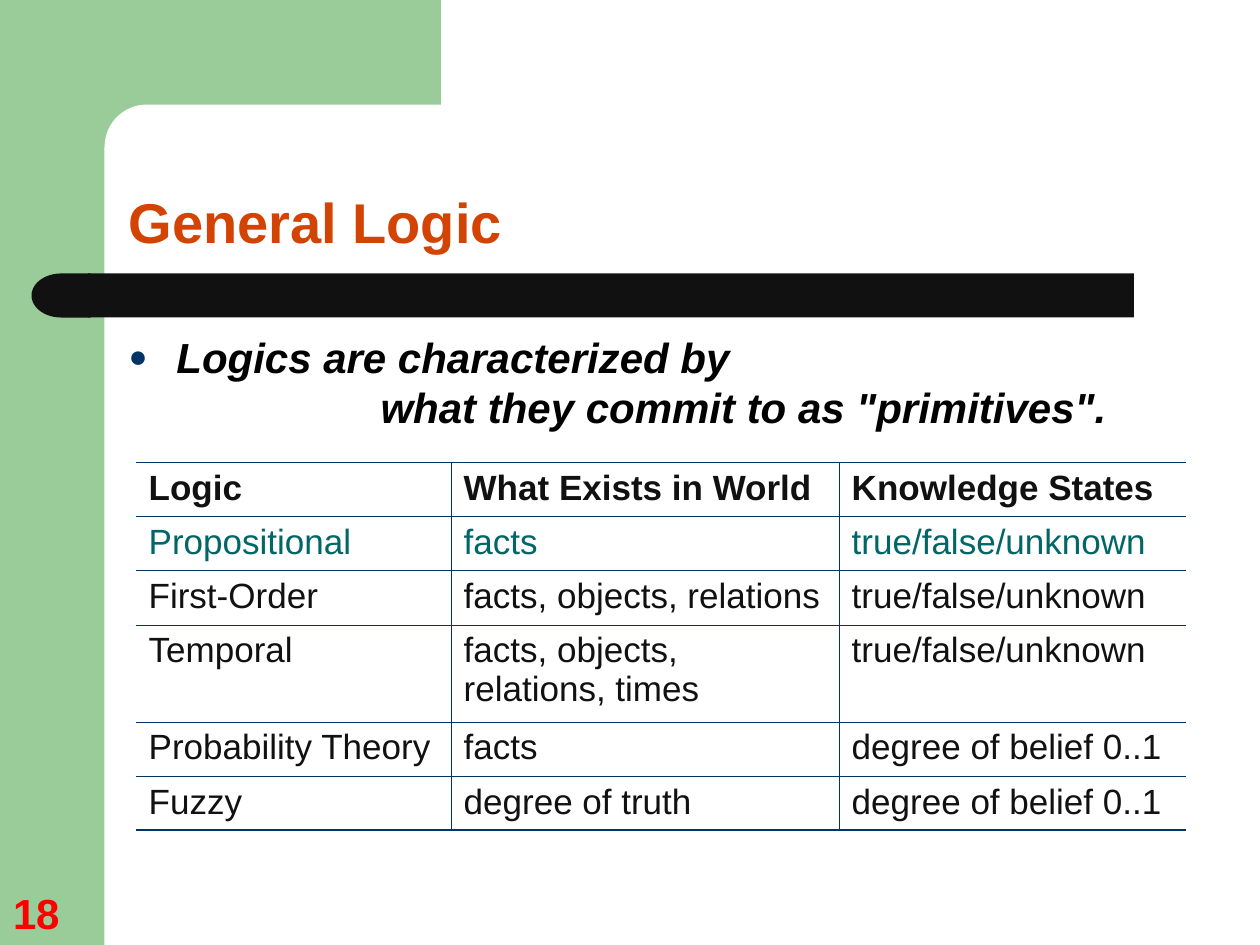
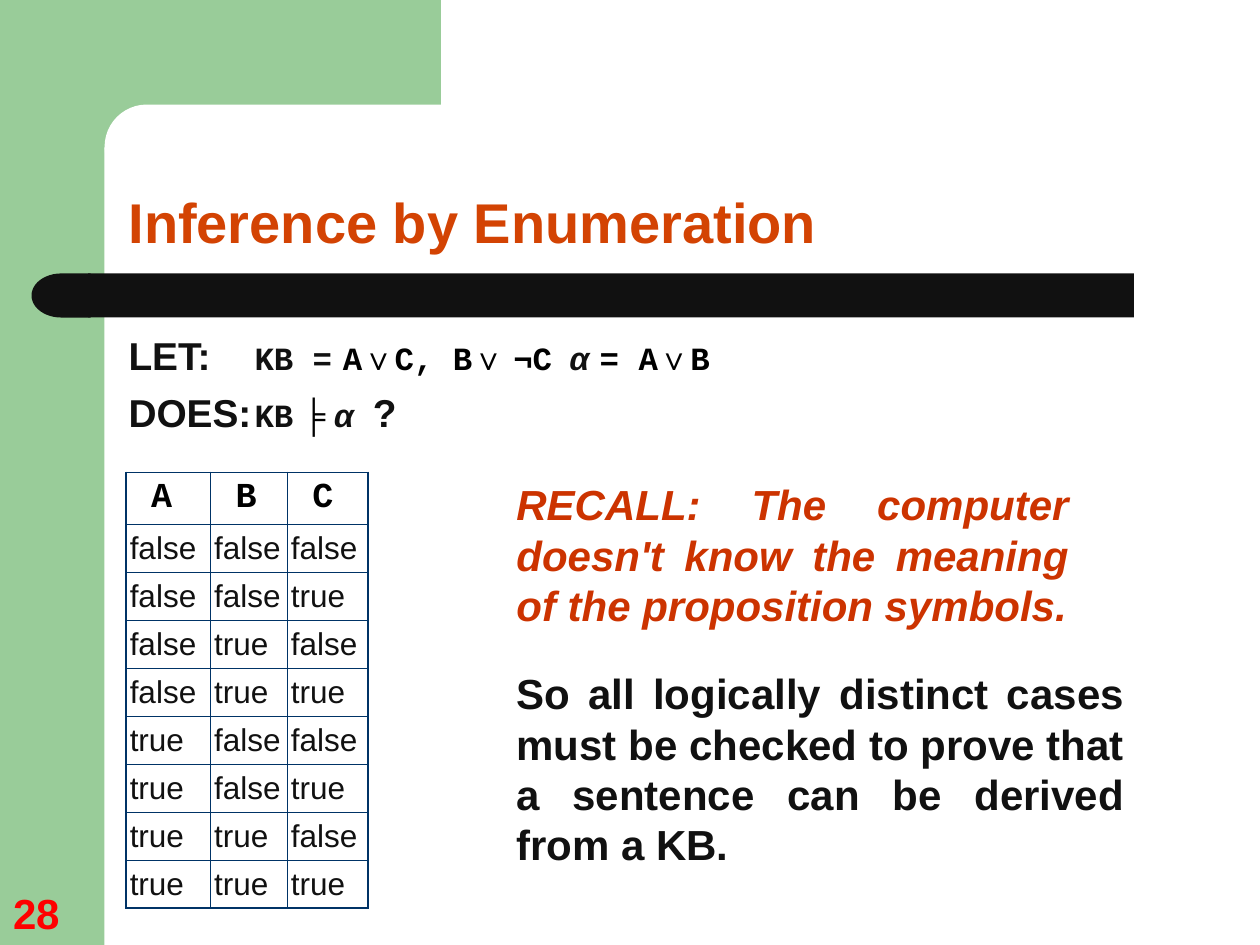
from itertools import product

from lxml import etree
from pptx import Presentation
from pptx.dml.color import RGBColor
from pptx.enum import shapes, text
from pptx.oxml import ns
from pptx.util import Inches, Pt

GREEN = RGBColor(0x99, 0xCC, 0x99)
WHITE = RGBColor(0xFF, 0xFF, 0xFF)
INK = RGBColor(0x11, 0x11, 0x11)
BLACK = RGBColor(0x00, 0x00, 0x00)
ORANGE = RGBColor(0xD3, 0x43, 0x03)
RUST = RGBColor(0xCC, 0x33, 0x00)
TEAL = RGBColor(0x00, 0x66, 0x66)
NAVY = RGBColor(0x00, 0x33, 0x66)
RED = RGBColor(0xFF, 0x00, 0x00)

SANS, MONO = "Arial", "Courier New"
THIN, THICK = 0.45, 1.08

# Span styles of the formulas: size, typeface, colour, italic
WORD = (22.2, SANS, INK, False)
CODE = (18.5, MONO, INK, False)
FORMULA = (18.5, MONO, BLACK, False)
SIGN = (18.5, SANS, BLACK, False)
GREEK = (18.5, MONO, INK, True)


def add_xml(parent, tag, **attributes):
    return etree.SubElement(parent, ns.qn(tag), attributes)


def set_font(font, size, name=SANS, color=INK, italic=False, bold=None):
    font.size, font.name, font.italic = Pt(size), name, italic
    font.color.rgb = color
    if bold is not None:
        font.bold = bold


class Deck:
    """Holds the shared style and the slide being built."""

    def __init__(self):
        self.deck = Presentation()
        self.deck.slide_width, self.deck.slide_height = Inches(10), Inches(7.5)
        self.page = None

    def add_page(self, title, number):
        self.page = self.deck.slides.add_slide(self.deck.slide_layouts[1])
        kinds = shapes.MSO_SHAPE

        # Green frame with its rounded corner
        self.add_band(kinds.RECTANGLE, GREEN, 0, 0, 0.83, 7.5)
        self.add_band(kinds.RECTANGLE, GREEN, 0.75, 0, 2.75, 1.17)
        corner = self.add_band(kinds.ROUNDED_RECTANGLE, WHITE, 0.83, 0.83, 5.58, 0.67)
        corner.adjustments[0] = 0.5

        # Dark bar with a round left end
        self.add_band(kinds.RECTANGLE, INK, 0.7, 2.17, 8.3, 0.35)
        self.add_band(kinds.FLOWCHART_DELAY, INK, 0.25, 2.17, 0.47, 0.35).rotation = 180

        # Title and page number
        frame = self.place(self.page.shapes.title, 0.92, 0.83, 8.83, 1.25)
        frame.vertical_anchor = text.MSO_ANCHOR.BOTTOM
        paragraph = self.add_text(frame, title, 32, color=ORANGE, bold=True)
        paragraph.line_spacing = 0.9
        self.add_note(str(number), 0.01, 6.99, 0.64, 0.5, RED,
                      align=text.PP_ALIGN.LEFT, anchor=text.MSO_ANCHOR.BOTTOM)

    def add_band(self, kind, color, left, top, width, height):
        band = self.page.shapes.add_shape(
            kind, Inches(left), Inches(top), Inches(width), Inches(height))
        band.shadow.inherit = False
        band.fill.solid()
        band.fill.fore_color.rgb = color
        band.line.fill.background()
        return band

    def place(self, holder, left, top, width, height):
        """Moves a placeholder and brings it in front of the bands."""
        holder.left, holder.top = Inches(left), Inches(top)
        holder.width, holder.height = Inches(width), Inches(height)
        holder.element.getparent().append(holder.element)
        frame = holder.text_frame
        frame.auto_size = text.MSO_AUTO_SIZE.NONE
        return frame

    def add_text(self, frame, words, size, name=SANS, color=INK,
                 italic=False, bold=False, align=text.PP_ALIGN.LEFT):
        paragraph = frame.paragraphs[0]
        paragraph.text = words
        paragraph.alignment = align
        set_font(paragraph.font, size, name, color, italic, bold)
        return paragraph

    def body(self):
        frame = self.place(self.page.placeholders[1], 0.92, 2.58, 8.83, 0.92)
        frame.vertical_anchor = text.MSO_ANCHOR.TOP
        return frame

    def set_layout(self, paragraph, indent, tabs, bullet=None):
        """Sets hanging indent, bullet and tab stops, before any font."""
        paragraph.space_before = Pt(0)
        properties = paragraph._p.get_or_add_pPr()
        properties.set("marL", str(Inches(indent)))
        properties.set("indent", str(-Inches(indent)))
        if bullet:
            color = add_xml(properties, "a:buClr")
            add_xml(color, "a:srgbClr", val=str(NAVY))
            add_xml(properties, "a:buSzPct", val="75000")
            add_xml(properties, "a:buFont", typeface=SANS)
            add_xml(properties, "a:buChar", char=bullet)
        else:
            add_xml(properties, "a:buNone")
        stops = add_xml(properties, "a:tabLst")
        for stop in tabs:
            add_xml(stops, "a:tab", pos=str(Inches(stop)), algn="l")

    def add_bullet(self, words):
        frame = self.body()
        self.set_layout(frame.paragraphs[0], 0.38, [2], "●")
        self.add_text(frame, words, 24, color=BLACK, italic=True, bold=True)

    def add_formulas(self, lines):
        frame = self.body()
        for index, (tabs, spans) in enumerate(lines):
            paragraph = frame.add_paragraph() if index else frame.paragraphs[0]
            self.set_layout(paragraph, 0, tabs)
            if index:
                paragraph.space_before = Pt(6)
            paragraph.font.bold = True
            for words, style in spans:
                span = paragraph.add_run()
                span.text = words
                set_font(span.font, *style)

    def add_note(self, words, left, top, width, height, color, italic=False,
                 align=text.PP_ALIGN.JUSTIFY, anchor=text.MSO_ANCHOR.TOP):
        box = self.page.shapes.add_textbox(
            Inches(left), Inches(top), Inches(width), Inches(height))
        frame = box.text_frame
        frame.word_wrap = True
        frame.auto_size = text.MSO_AUTO_SIZE.SHAPE_TO_FIT_TEXT
        frame.vertical_anchor = anchor
        self.add_text(frame, words, 24, color=color, italic=italic, bold=True, align=align)

    def add_table(self, rows, left, top, widths, heights, style, margin=0.1, sides=0):
        """Draws a ruled table; style(row) gives the font, sides the outer side rules."""
        table = self.page.shapes.add_table(
            len(rows), len(widths), Inches(left), Inches(top),
            Inches(sum(widths)), Inches(sum(heights))).table
        table.first_row = table.horz_banding = False
        for column, width in zip(table.columns, widths):
            column.width = Inches(width)
        last_row, last_column = len(rows) - 1, len(widths) - 1
        for r, row in enumerate(rows):
            table.rows[r].height = Inches(heights[r])
            for c, words in enumerate(row):
                cell = table.cell(r, c)
                cell.margin_left = cell.margin_right = Inches(margin)
                cell.fill.background()
                self.add_text(cell.text_frame, words, **style(r))
                self.set_borders(cell, {
                    "a:lnL": THIN if c else sides,
                    "a:lnR": THIN if c < last_column else sides,
                    "a:lnT": THIN if r else THICK,
                    "a:lnB": THIN if r < last_row else THICK,
                })
        return table

    def set_borders(self, cell, widths):
        properties = cell._tc.get_or_add_tcPr()
        for index, (tag, width) in enumerate(widths.items()):
            line = add_xml(properties, tag, w=str(Pt(width)))
            properties.insert(index, line)
            if width:
                add_xml(add_xml(line, "a:solidFill"), "a:srgbClr", val=str(NAVY))
            else:
                add_xml(line, "a:noFill")


def build_general_logic(deck):
    deck.add_page("General Logic", 18)
    deck.add_bullet('Logics are characterized by\v\twhat they commit to as "primitives".')

    # Comparison of logics
    logics = [
        ("Logic", "What Exists in World", "Knowledge States"),
        ("Propositional", "facts", "true/false/unknown"),
        ("First-Order", "facts, objects, relations", "true/false/unknown"),
        ("Temporal", "facts, objects, relations, times", "true/false/unknown"),
        ("Probability Theory", "facts", "degree of belief 0..1"),
        ("Fuzzy", "degree of truth", "degree of belief 0..1"),
    ]
    heights = [0.77 if row[0] == "Temporal" else 0.43 for row in logics]
    deck.add_table(logics, 1.08, 3.67, [2.5, 3.08, 2.75], heights,
                   lambda row: dict(size=20, bold=row == 0, color=TEAL if row == 1 else INK))


def build_enumeration(deck):
    deck.add_page("Inference by Enumeration", 28)

    # Knowledge base and question
    deck.add_formulas([
        ([1.08, 4.52], [
            ("LET:\t", WORD), ("KB =", CODE), (" ", WORD), ("A", FORMULA), ("∨", SIGN),
            ("C, B", FORMULA), ("∨ ¬", SIGN), ("C\t", FORMULA), ("α", GREEK),
            (" ", WORD), ("= A", FORMULA), ("∨", SIGN), ("B", FORMULA)]),
        ([1.15], [
            ("DOES:\t", WORD), ("KB", CODE), (" ╞ ", SIGN), ("α ", GREEK), ("?", WORD)]),
    ])

    # Truth table
    cases = [("A", "B", "C"), *product(("false", "true"), repeat=3)]
    header = dict(size=20, name=MONO, color=BLACK, bold=True)
    table = deck.add_table(cases, 1, 3.75, [0.67, 0.61, 0.64], [0.39] + [0.36] * 8,
                           lambda row: dict(size=18) if row else header,
                           margin=0.03, sides=THICK)
    for cell in table.rows[0].cells:
        cell.margin_left = Inches(0.2)

    # Remarks
    deck.add_note("RECALL: The computer doesn't know the meaning\v"
                  "of the proposition symbols.", 4, 3.75, 4.58, 1.3, RUST, italic=True)
    deck.add_note("So all logically distinct cases\vmust be checked to prove that\v"
                  "a sentence can be derived from a KB.", 4, 5.25, 5.02, 1.7, INK)


def main():
    deck = Deck()
    build_general_logic(deck)
    build_enumeration(deck)
    deck.deck.save("out.pptx")


if __name__ == "__main__":
    main()
